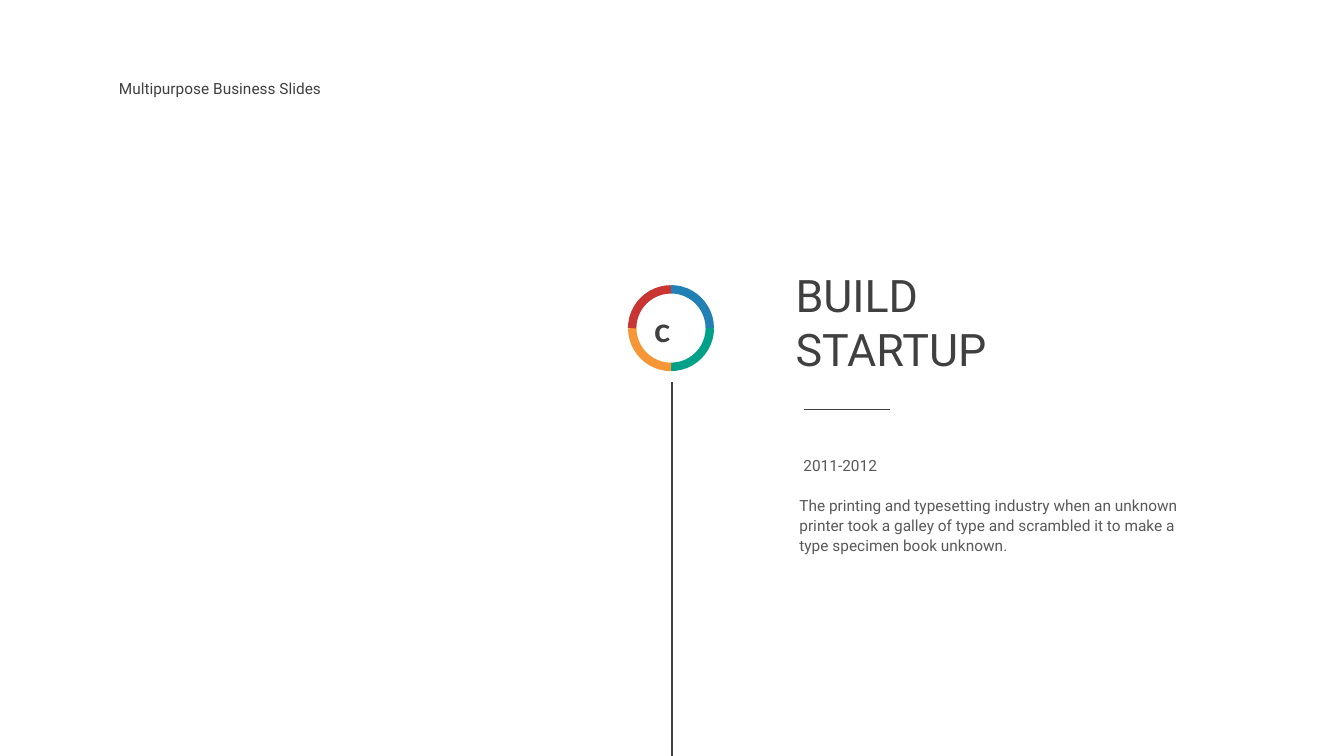
from pptx import Presentation
from pptx import util as u
from pptx.dml.color import RGBColor
from pptx.enum import shapes, text
from pptx.oxml.ns import qn

COLORS = {
    "dark": "404040",
    "body": "595959",
    "blue": "2180B4",
    "green": "00A188",
    "orange": "F79636",
    "red": "C83532",
}
WIDTH, HEIGHT = 13.33, 7.5
TITLE_ONLY = 5


def color(name):
    return RGBColor.from_string(COLORS[name])


def format_text(shape, content, size, color_name, spacing=None, font="Roboto", bold=False):
    frame = shape.text_frame
    frame.word_wrap = True
    frame.auto_size = text.MSO_AUTO_SIZE.NONE
    frame.vertical_anchor = text.MSO_ANCHOR.TOP
    frame.text = content
    paragraph = frame.paragraphs[0]
    paragraph.alignment = text.PP_ALIGN.LEFT
    if spacing:
        paragraph.line_spacing = spacing
    for run in paragraph.runs:
        run.font.name = font
        run.font.size = u.Pt(size)
        run.font.bold = bold
        run.font.color.rgb = color(color_name)


def add_text(slide, box, *style, **options):
    shape = slide.shapes.add_textbox(*map(u.Inches, box))
    format_text(shape, *style, **options)


def add_rule(slide, *ends):
    line = slide.shapes.add_connector(shapes.MSO_CONNECTOR.STRAIGHT, *map(u.Inches, ends))
    line.line.color.rgb = color("dark")
    line.line.width = u.Pt(1)
    properties = line._element.spPr
    properties.append(properties.makeelement(qn("a:effectLst"), {}))


def add_header(slide, left, top, width, height):
    add_text(slide, (left, top, width, height), "Multipurpose Business Slides",
             11, "dark", u.Pt(17.3))


def add_badge(slide, left, top, size):
    """Ring of four quarter arcs around a letter."""
    for quarter, name in enumerate(("blue", "green", "orange", "red")):
        arc = slide.shapes.add_shape(shapes.MSO_SHAPE.ARC,
                                     *map(u.Inches, (left, top, size, size)))
        arc.rotation = 90 * quarter
        arc.shadow.inherit = False
        arc.fill.background()
        arc.line.color.rgb = color(name)
        arc.line.width = u.Pt(6)
    add_text(slide, (left + 0.12, top + 0.15, 0.54, 0.5), "c", 24, "dark",
             font="Lato", bold=True)


def add_timeline(slide, center, top, bottom):
    badge = 0.77
    add_badge(slide, center - badge / 2 - 0.01, top, badge)
    add_rule(slide, center, top + badge + 0.15, center, bottom)


def add_story(slide, left, top, width):
    """Title, short rule, period and description, stacked from the top."""
    title = slide.shapes.title
    title.left, title.top, title.width, title.height = map(
        u.Inches, (left, top, width, 1.18))
    format_text(title, "BUILD\vSTARTUP", 32, "dark")
    add_rule(slide, left + 0.18, top + 1.45, left + 1.04, top + 1.45)
    add_text(slide, (left + 0.08, top + 1.85, 3.13, 0.3), "2011-2012", 11, "body", 1.1)
    add_text(slide, (left + 0.04, top + 2.24, 4.15, 0.71),
             "The printing and typesetting industry when an unknown printer took a galley "
             "of type and scrambled it to make a type specimen book unknown.",
             11, "body", 1.1)


def main():
    presentation = Presentation()
    presentation.slide_width = u.Inches(WIDTH)
    presentation.slide_height = u.Inches(HEIGHT)
    slide = presentation.slides.add_slide(presentation.slide_layouts[TITLE_ONLY])
    add_header(slide, 1.08, 0.68, 3.21, 0.34)
    add_timeline(slide, WIDTH / 2, 2.87, HEIGHT)
    add_story(slide, 7.79, 2.61, WIDTH - 7.79)
    presentation.save("out.pptx")


if __name__ == "__main__":
    main()
